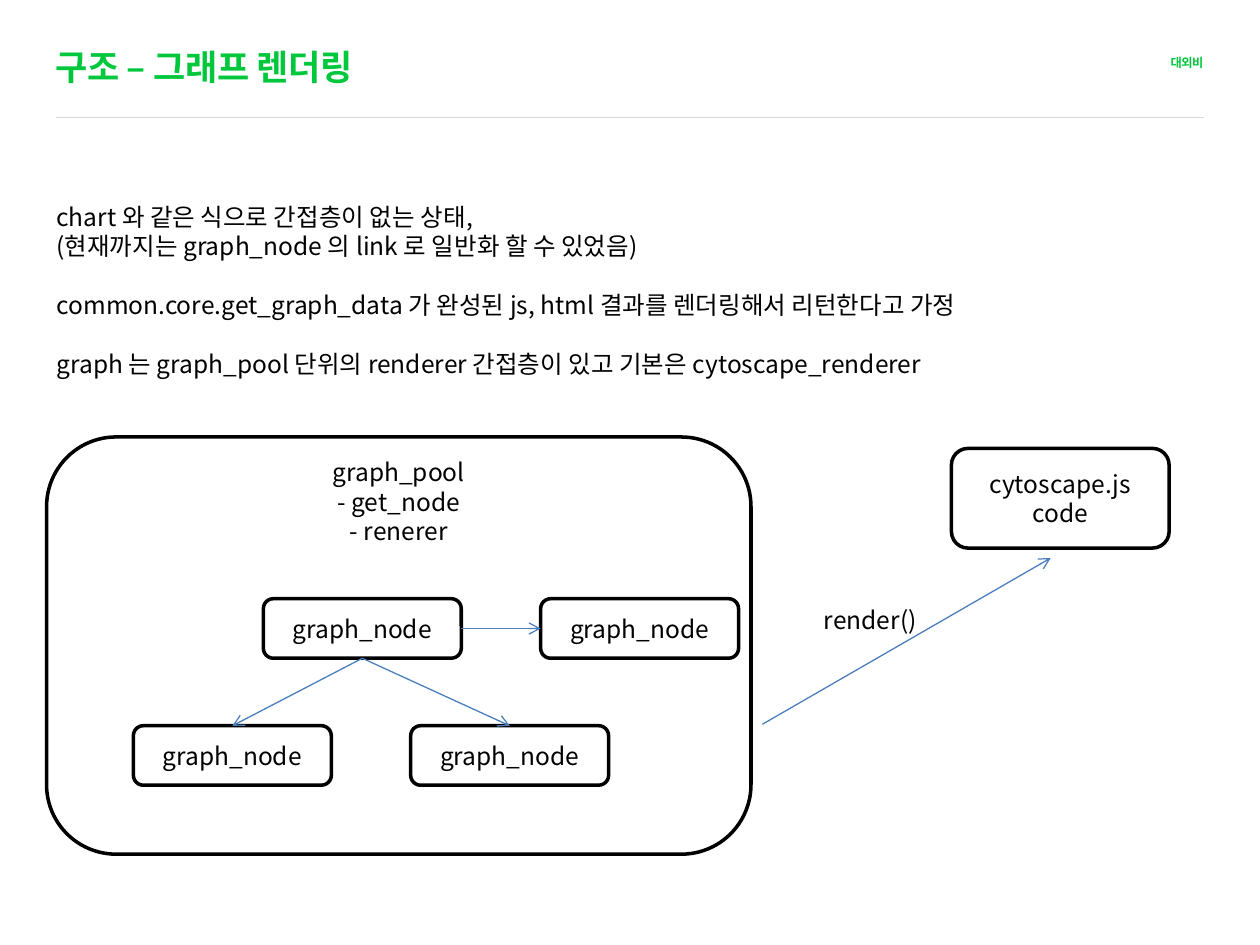
from dataclasses import dataclass

from lxml import etree
from pptx import Presentation
from pptx import util as u
from pptx.dml.color import RGBColor
from pptx.enum import shapes, text
from pptx.oxml.ns import qn

Cm, Pt = u.Cm, u.Pt
FONT = "Noto Sans CJK KR"
GREEN, BLACK, WHITE, GREY, BLUE = "00C73C", "000000", "FFFFFF", "D9D9D9", "4B7EBC"
TOP, LEFT, BOTTOM, RIGHT = range(4)  # connection sites of a box


@dataclass(frozen=True)
class Area:
    """Place and size in centimetres."""
    x: float
    y: float
    w: float
    h: float

    def lengths(self) -> tuple:
        return Cm(self.x), Cm(self.y), Cm(self.w), Cm(self.h)


def color(value: str) -> RGBColor:
    return RGBColor.from_string(value)


def write(s, content: str, *, size=14, c=BLACK, bold=False, spacing=0,
          align=text.PP_ALIGN.LEFT, anchor=text.MSO_ANCHOR.TOP,
          margin=None, line=1.2, gap=0):
    """Fill a shape; newline starts a paragraph, \\v breaks a line."""
    tf = s.text_frame
    tf.word_wrap = True
    tf.vertical_anchor = anchor
    if margin is not None:
        tf.margin_left = tf.margin_right = tf.margin_top = tf.margin_bottom = Cm(margin)
    for i, part in enumerate(content.split("\n")):
        p = tf.add_paragraph() if i else tf.paragraphs[0]
        p.text = part
        p.alignment = align
        p.line_spacing = Pt(size * line)
        p.space_before = Pt(gap if i else 0)
        for r in p.runs:
            r.font.size, r.font.bold, r.font.name = Pt(size), bold, FONT
            r.font.color.rgb = color(c)
            rpr = r.font._element
            etree.SubElement(rpr, qn("a:ea")).set("typeface", FONT)
            if spacing:
                rpr.set("spc", str(round(spacing * 100)))
    return s


def add_text(sp, area: Area, content: str, **fmt):
    return write(sp.add_textbox(*area.lengths()), content, **fmt)


def add_box(sp, area: Area, content: str, **fmt):
    s = sp.add_shape(shapes.MSO_SHAPE.ROUNDED_RECTANGLE, *area.lengths())
    s.shadow.inherit = False
    s.fill.solid()
    s.fill.fore_color.rgb = color(WHITE)
    s.line.color.rgb = color(BLACK)
    s.line.width = Pt(2)
    fmt = {"anchor": text.MSO_ANCHOR.MIDDLE, **fmt}
    return write(s, content, align=text.PP_ALIGN.CENTER, **fmt)


def add_line(sp, start=(0, 0), end=(0, 0), *, c=BLUE, width=0.75, arrow=True):
    s = sp.add_connector(shapes.MSO_CONNECTOR.STRAIGHT, *map(Cm, (*start, *end)))
    s.line.color.rgb = color(c)
    s.line.width = Pt(width)
    if arrow:
        etree.SubElement(s.line._get_or_add_ln(), qn("a:tailEnd")).set("type", "arrow")
    etree.SubElement(s._element.spPr, qn("a:effectLst"))
    return s


def main() -> None:
    prs = Presentation()
    prs.slide_width, prs.slide_height = Cm(25.4), Cm(19.05)
    sp = prs.slides.add_slide(prs.slide_layouts[6]).shapes

    # Header
    add_line(sp, (1.12, 2.36), (24.28, 2.36), c=GREY, width=0.25, arrow=False)
    add_text(sp, Area(21.67, 0.99, 2.59, 0.38), "대외비", size=7, c=GREEN, bold=True,
             spacing=-0.2, align=text.PP_ALIGN.RIGHT, margin=0, line=1.68)
    add_text(sp, Area(1.12, 0.91, 19.89, 0.69), "구조 – 그래프 렌더링", size=20,
             c=GREEN, bold=True, spacing=-0.2, margin=0)

    # Explanation
    add_text(sp, Area(0.89, 3.94, 19.43, 3.84),
             "chart 와 같은 식으로 간접층이 없는 상태,\v"
             "(현재까지는 graph_node 의 link 로 일반화 할 수 있었음)\n"
             "common.core.get_graph_data 가 완성된 js, html 결과를 렌더링해서 리턴한다고 가정\n"
             "graph 는 graph_pool 단위의 renderer 간접층이 있고 기본은 cytoscape_renderer",
             gap=16.8)

    # Pool with its nodes: two rows of two, the lower row shifted left
    add_box(sp, Area(0.94, 8.81, 14.2, 8.41), "graph_pool\v- get_node\v- renerer",
            anchor=text.MSO_ANCHOR.TOP, margin=0)
    pitch = 5.59
    upper, lower = (
        [add_box(sp, Area(x + i * pitch, y, 3.99, 1.2), "graph_node") for i in range(2)]
        for x, y in ((5.31, 12.07), (2.69, 14.63)))
    root = upper[0]
    links = [(RIGHT, upper[1], LEFT)] + [(BOTTOM, node, TOP) for node in lower]
    for out_site, node, in_site in links:
        s = add_line(sp)
        s.begin_connect(root, out_site)
        s.end_connect(node, in_site)

    # Rendered result
    add_box(sp, Area(19.18, 9.04, 4.39, 2.01), "cytoscape.js code")
    add_line(sp, (15.37, 14.6), (21.18, 11.25))
    add_text(sp, Area(16.36, 12.07, 3.91, 0.86), "render()")

    prs.save("out.pptx")


if __name__ == "__main__":
    main()
